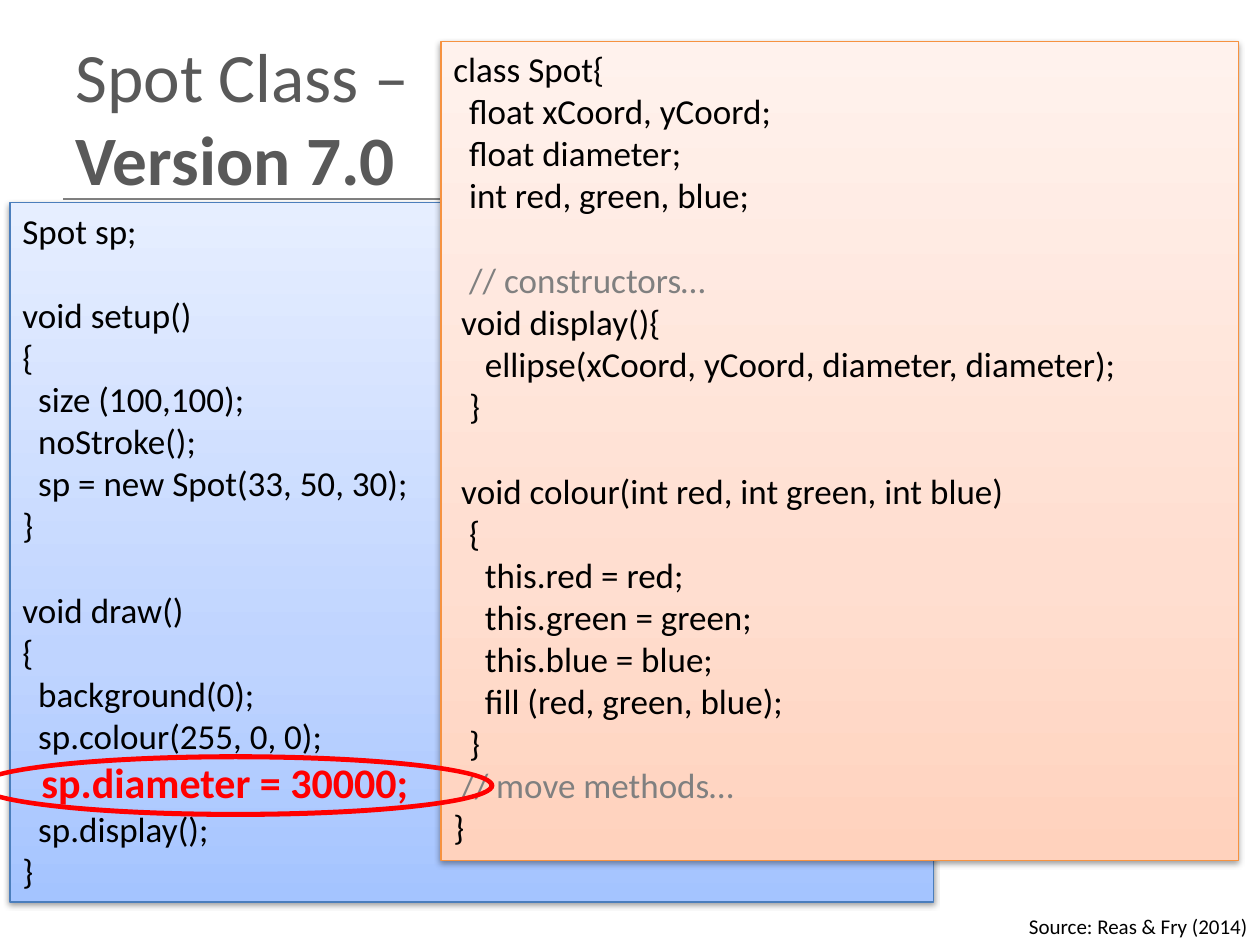
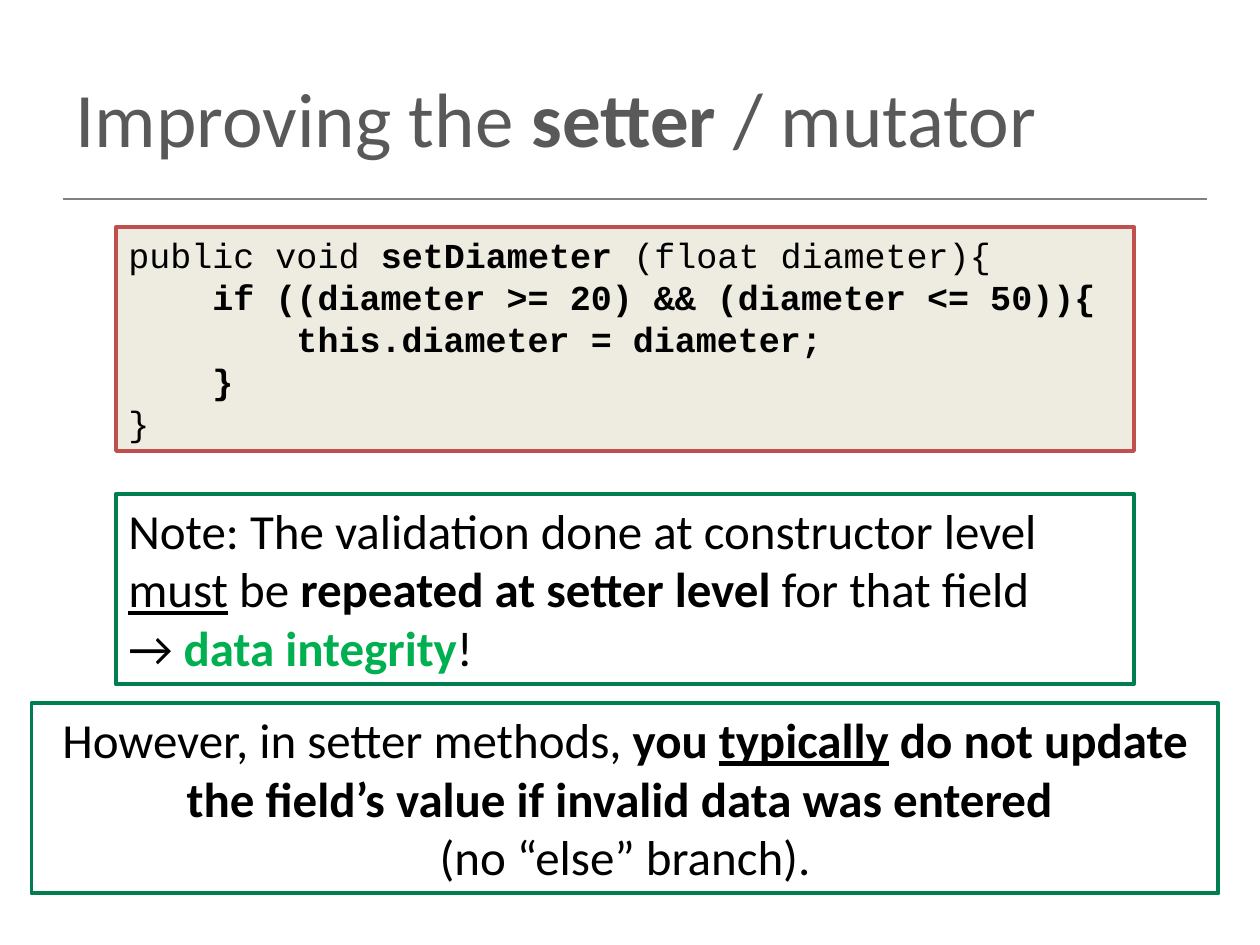
from copy import deepcopy

from lxml.etree import SubElement
from pptx import Presentation
from pptx.dml.color import RGBColor
from pptx.enum.shapes import MSO_CONNECTOR, MSO_SHAPE
from pptx.enum.text import MSO_ANCHOR, PP_ALIGN
from pptx.oxml.ns import qn
from pptx.util import Inches, Pt

HUES = {
    "text": "000000", "title": "595959", "rule": "808080", "faint": "808080",
    "alert": "FF0000", "good": "00B050", "note": "007E4F",
    "paper": "EEECE1", "brick": "C0504D", "blue": "4B7EBC", "orange": "F69240",
}
FADES = {
    "blue": ("A4C4FF", "BFD4FF", "E6EEFF"),
    "orange": ("FFD2BD", "FFDED0", "FFF2ED"),
}
STOPS = (0, 0.35, 1)

# Run styles; a plain string is a run with no style
STYLES = {
    "bold": {"bold": True},
    "under": {"underline": True},
    "both": {"bold": True, "underline": True},
    "faint": {"hue": "faint"},
    "good": {"bold": True, "hue": "good"},
    "alert": {"bold": True, "hue": "alert", "size": 24},
}
CODE = {"name": "Calibri", "size": 20, "hue": "text"}
MONO = {**CODE, "name": "Courier New"}
NOTE = {**CODE, "size": 28}
SOURCE = {**CODE, "size": 12}
TITLE = {"name": "Calibri", "size": 44, "hue": "title"}
BLANK = 24.4  # height in points of an empty code line

# Each paragraph is a list of runs; None leaves an empty line of code
SPOT_TITLE = [["Spot Class –\n", ("Version 7.0", "bold")]]
SKETCH = [
    ["Spot sp;"],
    None,
    ["void setup()"],
    ["{"],
    ["  size (100,100);"],
    ["  noStroke();"],
    ["  sp = new Spot(33, 50, 30);"],
    ["}"],
    None,
    ["void draw()"],
    ["{"],
    ["  background(0);"],
    ["  sp.colour(255, 0, 0);"],
    [("  sp.diameter = 30000;", "alert")],
    ["  sp.display();"],
    ["}"],
]
SPOT = [
    ["class Spot{"],
    ["  float xCoord, yCoord;"],
    ["  float diameter;"],
    ["  int red, green, blue;"],
    None,
    [("  // constructors…", "faint")],
    [" void display(){"],
    ["    ellipse(xCoord, yCoord, diameter, diameter);"],
    ["  }"],
    None,
    [" void colour(int red, int green, int blue)"],
    ["  {"],
    ["    this.red = red;"],
    ["    this.green = green;"],
    ["    this.blue = blue;"],
    ["    fill (red, green, blue);"],
    ["  }"],
    [(" // move methods…", "faint")],
    ["}"],
]
CREDIT = [["Source: Reas & Fry (2014)"]]

SET_TITLE = [["Improving the ", ("setter", "bold"), " / mutator"]]
SETTER = [
    ["public void ", ("setDiameter", "bold"), " (float diameter){"],
    [("    if ((diameter >= 20) && (diameter <= 50)){", "bold")],
    [("        this.diameter = diameter;", "bold")],
    [("    }", "bold")],
    ["}"],
]
REPEAT = [[
    "Note: The validation done at constructor level ", ("must", "under"), " be ",
    ("repeated at setter level ", "bold"), "for that field\n→ ",
    ("data integrity", "good"), "!",
]]
NO_ELSE = [[
    "However, in setter methods, ", ("you ", "bold"), ("typically", "both"),
    (" do not update the field’s value if invalid data was entered \n", "bold"),
    "(no “else” branch).",
]]


def rgb(hue):
    return RGBColor.from_string(HUES.get(hue, hue))


def style(font, look):
    for key, value in look.items():
        if key == "hue":
            font.color.rgb = rgb(value)
        else:
            setattr(font, key, Pt(value) if key == "size" else value)


def write(shape, paras, look, align=PP_ALIGN.LEFT, anchor=MSO_ANCHOR.TOP):
    frame = shape.text_frame
    frame.word_wrap = True
    frame.vertical_anchor = anchor
    para, gap = frame.paragraphs[0], 0
    for index, runs in enumerate(paras):
        if runs is None:
            gap = BLANK
            continue
        if index:
            para = frame.add_paragraph()
        para.alignment = align
        if gap:
            para.space_before = Pt(gap)
        gap = 0
        for run in runs:
            text, kind = (run, None) if isinstance(run, str) else run
            for count, part in enumerate(text.split("\n")):
                if count:
                    para.add_line_break()
                if part:
                    bit = para.add_run()
                    bit.text = part
                    style(bit.font, {**look, **STYLES.get(kind, {})})


def place(slide, at, line, width, fill=None, kind=MSO_SHAPE.RECTANGLE):
    shape = slide.shapes.add_shape(kind, *map(Inches, at))
    shape.shadow.inherit = False
    shape.line.color.rgb = rgb(line)
    shape.line.width = Pt(width)
    if fill:
        shape.fill.solid()
        shape.fill.fore_color.rgb = rgb(fill)
    else:
        shape.fill.background()
    return shape


def panel(slide, at, hue, paras):
    """Add a code box with a colour fade and a soft shadow."""
    shape = place(slide, at, hue, 0.75)
    shape.fill.gradient()
    shape.fill.gradient_angle = 90
    props = shape._element.spPr
    stops = props.find(".//" + qn("a:gsLst"))
    stops.insert(1, deepcopy(stops[0]))
    for stop, spot, shade in zip(shape.fill.gradient_stops, STOPS, FADES[hue]):
        stop.position = spot
        stop.color.rgb = rgb(shade)
    shadow = SubElement(
        props.find(qn("a:effectLst")), qn("a:outerShdw"),
        blurRad=str(Pt(3.1)), dist=str(Pt(1.6)), dir="5400000", rotWithShape="0")
    black = SubElement(shadow, qn("a:srgbClr"), val="000000")
    SubElement(black, qn("a:alpha"), val="38000")
    write(shape, paras, CODE)


def label(slide, at, paras, look, **setup):
    write(slide.shapes.add_textbox(*map(Inches, at)), paras, look, **setup)


def start(deck, title, size):
    """Add a slide with its title and the rule below it."""
    slide = deck.slides.add_slide(deck.slide_layouts[6])
    rule = slide.shapes.add_connector(
        MSO_CONNECTOR.STRAIGHT, *map(Inches, (0.5, 1.58, 9.58, 1.58)))
    rule.line.color.rgb = rgb("rule")
    rule.line.width = Pt(1)
    SubElement(rule._element.spPr, qn("a:effectLst"))
    label(slide, (0.5, 0.3, 9, 1.25), title, {**TITLE, "size": size},
          anchor=MSO_ANCHOR.MIDDLE)
    return slide


def spot_slide(deck):
    slide = start(deck, SPOT_TITLE, 39.6)
    label(slide, (3.92, 7.2, 6.08, 0.3), CREDIT, SOURCE, align=PP_ALIGN.RIGHT)
    panel(slide, (0.08, 1.61, 7.33, 5.55), "blue", SKETCH)
    panel(slide, (3.5, 0.33, 6.33, 6.5), "orange", SPOT)
    ring = place(slide, (-0.17, 6, 4.08, 0.47), "alert", 2, "alert", MSO_SHAPE.DONUT)
    ring.adjustments[0] = 0.026


def setter_slide(deck):
    slide = start(deck, SET_TITLE, 44)
    code = place(slide, (0.92, 1.8, 8.08, 1.78), "brick", 2, "paper")
    write(code, SETTER, MONO)
    for at, paras, align in (
        ((0.92, 3.92, 8.08, 1.51), REPEAT, PP_ALIGN.LEFT),
        ((0.25, 5.58, 9.42, 1.51), NO_ELSE, PP_ALIGN.CENTER),
    ):
        write(place(slide, at, "note", 2.25), paras, NOTE, align)


def main():
    deck = Presentation()
    deck.slide_width, deck.slide_height = Inches(10), Inches(7.5)
    spot_slide(deck)
    setter_slide(deck)
    deck.save("out.pptx")


if __name__ == "__main__":
    main()
